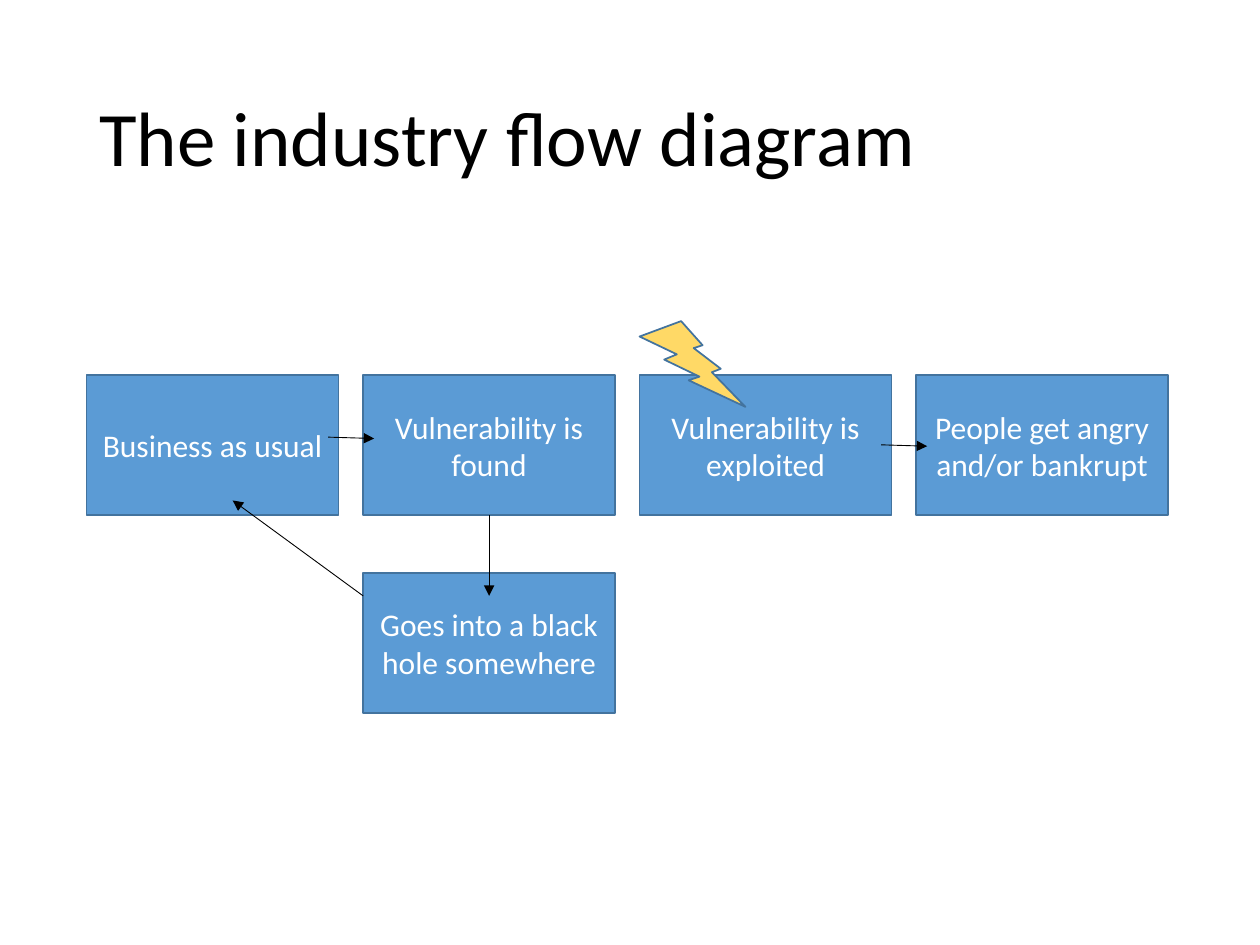
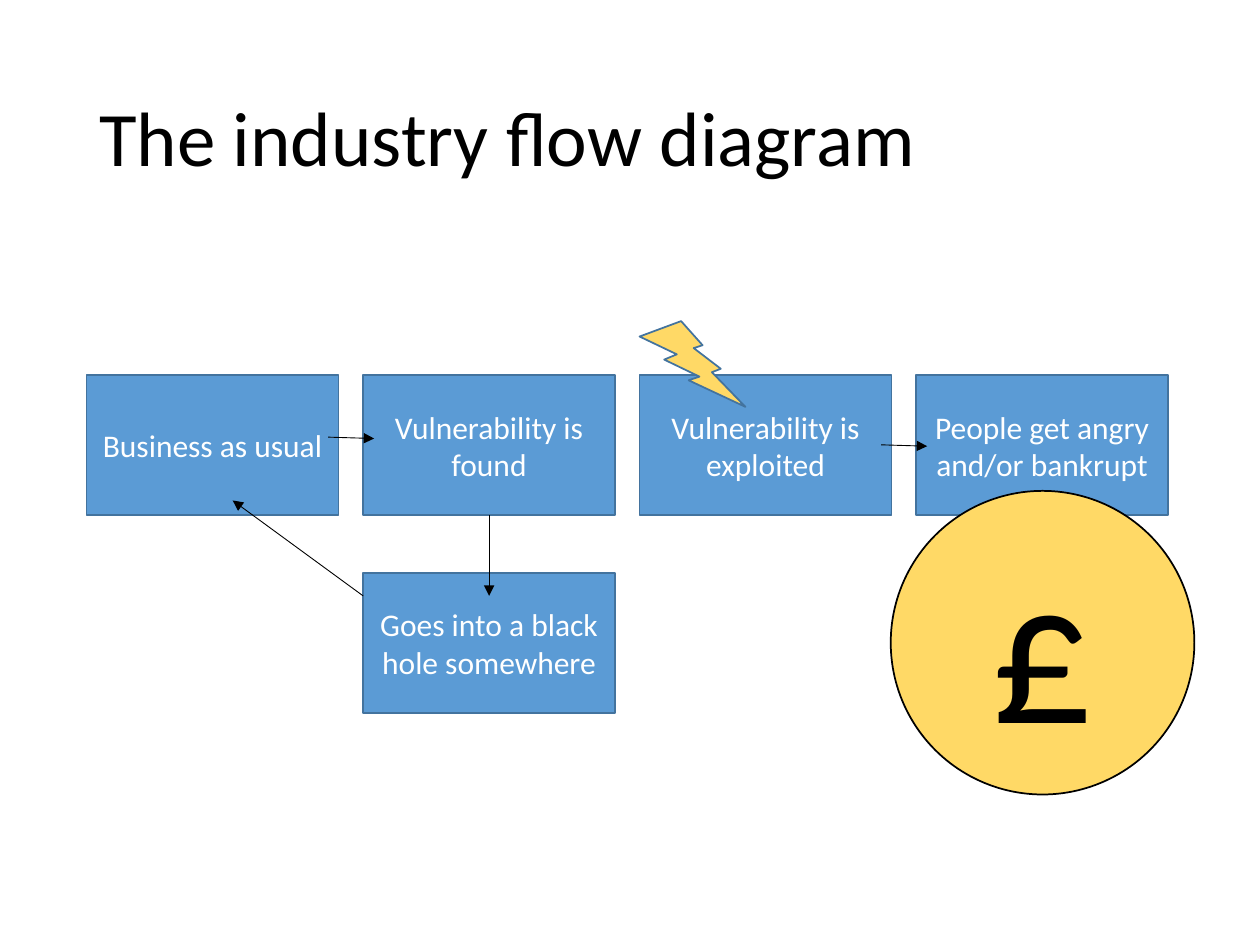
from pptx import Presentation
from pptx.dml.color import RGBColor
from pptx.enum.shapes import MSO_CONNECTOR, MSO_SHAPE
from pptx.enum.text import MSO_ANCHOR, PP_ALIGN
from pptx.oxml.ns import qn
from pptx.util import Pt
from lxml.etree import SubElement

TITLE = "The industry flow diagram"
STAGES = [
    ("Business as usual", 0, 0),
    ("Vulnerability is found", 1, 0),
    ("Vulnerability is exploited", 2, 0),
    ("People get angry and/or bankrupt", 3, 0),
    ("Goes into a black hole somewhere", 1, 1),
]
COIN = "£"
SLIDE_COINS = [None, COIN]

FONT = "Calibri"
BLACK, WHITE = "000000", "FFFFFF"
BLUE, EDGE, YELLOW = "5B9BD5", "43739E", "FFD966"

LEFT, TOP, BOX_W, BOX_H = 49.5, 214.5, 144, 80
COL_STEP, ROW_STEP = 158, 113
ARROWS = [
    ((187.5, 249.8), (213.8, 250.6)),
    ((503.5, 254.2), (529.8, 255)),
    ((279.5, 294.5), (279.5, 340.5)),
    ((207.5, 340.5), (133, 286)),
]


def color(hex_text):
    return RGBColor.from_string(hex_text)


def style_text(tf, text, size, text_color, align):
    tf.text = text
    tf.vertical_anchor = MSO_ANCHOR.MIDDLE
    p = tf.paragraphs[0]
    p.alignment = align
    font = p.runs[0].font
    font.name, font.size = FONT, Pt(size)
    font.color.rgb = color(text_color)
    return p


def add_shape(s, kind, box, fill, line, text="", size=18, text_color=WHITE):
    sp = s.shapes.add_shape(kind, *map(Pt, box))
    sp.shadow.inherit = False
    sp.fill.solid()
    sp.fill.fore_color.rgb = color(fill)
    sp.line.color.rgb = color(line)
    sp.line.width = Pt(1)
    if text:
        style_text(sp.text_frame, text, size, text_color, PP_ALIGN.CENTER)


def add_arrow(s, start, end):
    c = s.shapes.add_connector(MSO_CONNECTOR.STRAIGHT, *map(Pt, start + end))
    c.line.color.rgb = color(BLACK)
    c.line.width = Pt(0.5)
    SubElement(c.line._get_or_add_ln(), qn("a:tailEnd"), type="triangle")
    SubElement(c._element.spPr, qn("a:effectLst"))


def add_title(s):
    title = s.shapes.title
    title.left, title.top, title.width, title.height = map(Pt, (49.5, 29, 621, 104))
    p = style_text(title.text_frame, TITLE, 44, BLACK, PP_ALIGN.LEFT)
    p.line_spacing = 0.9


def add_flow(s):
    for text, col, row in STAGES:
        box = (LEFT + col * COL_STEP, TOP + row * ROW_STEP, BOX_W, BOX_H)
        add_shape(s, MSO_SHAPE.RECTANGLE, box, BLUE, EDGE, text)
    for start, end in ARROWS:
        add_arrow(s, start, end)
    bolt = (LEFT + 2 * COL_STEP, 183.5, 60.5, 49)
    add_shape(s, MSO_SHAPE.LIGHTNING_BOLT, bolt, YELLOW, EDGE)


def main():
    """Build the flow diagram slides and save them."""
    prs = Presentation()
    prs.slide_width, prs.slide_height = Pt(720), Pt(540)
    for coin in SLIDE_COINS:
        s = prs.slides.add_slide(prs.slide_layouts[5])
        add_title(s)
        add_flow(s)
        if coin:
            add_shape(s, MSO_SHAPE.OVAL, (509, 280.5, 173.5, 173.5), YELLOW, BLACK,
                      coin, 115, BLACK)
    prs.save("out.pptx")


if __name__ == "__main__":
    main()
